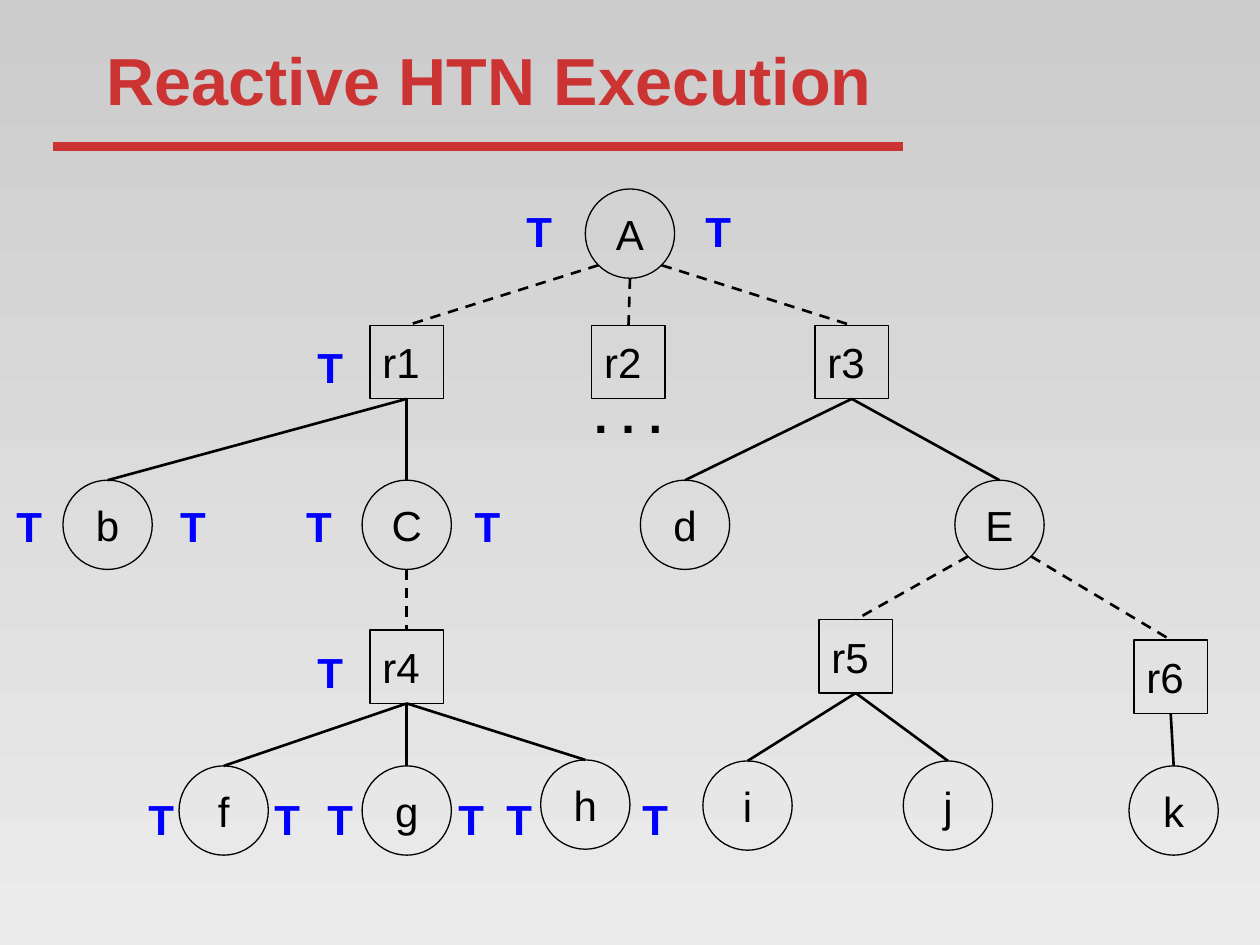
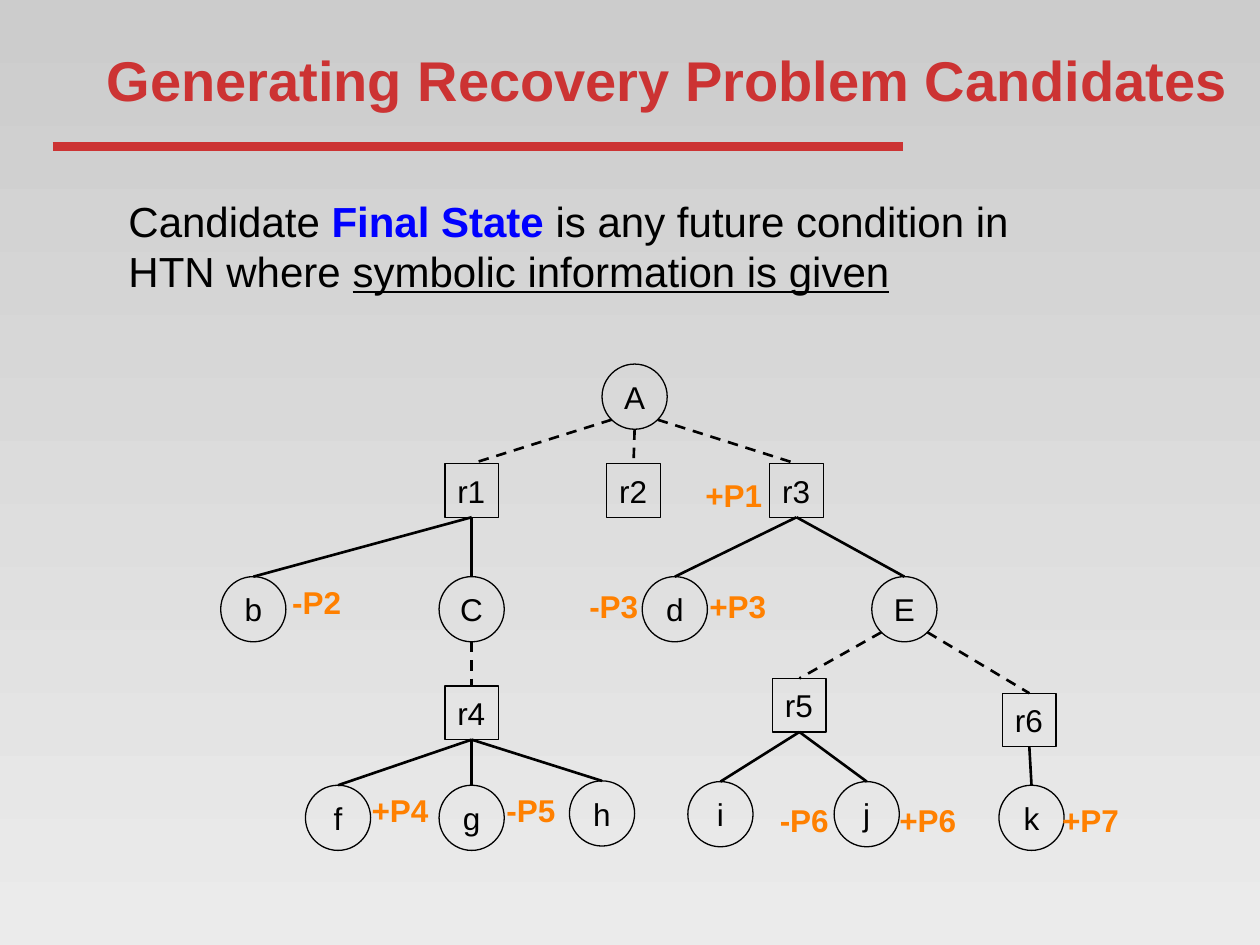
from pptx import Presentation
from pptx.dml.color import RGBColor
from pptx.enum.dml import MSO_LINE
from pptx.enum.shapes import MSO_CONNECTOR, MSO_SHAPE
from pptx.enum.text import MSO_ANCHOR, PP_ALIGN
from pptx.util import Cm, Pt
from lxml.etree import SubElement
from pptx.oxml.ns import qn

INK = {
    "red": "CC3333",
    "black": "000000",
    "blue": "0000FF",
    "orange": "FF8000",
    "top": "CCCCCC",
    "base": "EBEBEB",
}
FONT = "Arial"
CIRCLE, SQUARE = 1.8, 1.48

NODES = {
    "A": (11.43, 0.9),
    "r1": (6.93, 3.49), "r2": (11.4, 3.49), "r3": (15.9, 3.49),
    "b": (0.9, 6.77), "C": (6.93, 6.77), "d": (12.54, 6.77), "E": (18.88, 6.77),
    "r4": (6.93, 9.63), "r5": (15.98, 9.42), "r6": (22.33, 9.83),
    "f": (3.24, 12.53), "g": (6.93, 12.53), "h": (10.53, 12.41),
    "i": (13.8, 12.43), "j": (17.84, 12.43), "k": (22.39, 12.53),
}
KIDS = {
    "A": ["r1", "r2", "r3"],
    "r1": ["b", "C"],
    "r3": ["d", "E"],
    "C": ["r4"],
    "E": ["r5", "r6"],
    "r4": ["f", "g", "h"],
    "r5": ["i", "j"],
    "r6": ["k"],
}
TICKS = {
    0.2: [9.09, 12.7],
    2.95: [4.88],
    6.15: [-1.19, 2.11, 4.65, 8.05],
    9.09: [4.88],
    12.07: [1.47, 4.01, 5.08, 7.72, 8.69, 11.43],
}
STATES = [
    ("+P1", 9.52, 2.13), ("-P2", 1.19, 4.29),
    ("-P3", 7.18, 4.37), ("+P3", 9.6, 4.37),
    ("+P4", 2.79, 8.48), ("-P5", 5.51, 8.48),
    ("-P6", 11.02, 8.69), ("+P6", 13.43, 8.69), ("+P7", 16.71, 8.69),
]


def tint(name):
    return RGBColor.from_string(INK[name])


def add_run(para, text, size, ink="black", bold=False, under=False):
    run = para.add_run()
    run.text = text
    font = run.font
    font.name, font.size = FONT, Pt(size)
    font.bold, font.underline = bold, under
    font.color.rgb = tint(ink)


def add_text(slide, box, runs, anchor=MSO_ANCHOR.TOP):
    frame = slide.shapes.add_textbox(*map(Cm, box)).text_frame
    frame.word_wrap = True
    frame.vertical_anchor = anchor
    for run in runs:
        add_run(frame.paragraphs[0], *run)


def add_line(slide, start, end, ink="black", width=1.5, dash=False):
    line = slide.shapes.add_connector(
        MSO_CONNECTOR.STRAIGHT, *map(Cm, (*start, *end)))
    line.line.color.rgb = tint(ink)
    line.line.width = Pt(width)
    if dash:
        line.line.dash_style = MSO_LINE.DASH
    SubElement(line._element.spPr, qn("a:effectLst"))


def add_base(deck, title, size, width):
    slide = deck.slides.add_slide(deck.slide_layouts[6])
    fill = slide.background.fill
    fill.gradient()
    fill.gradient_angle = 270
    for stop, name, place in zip(fill.gradient_stops, ("top", "base"), (0, 1)):
        stop.color.rgb = tint(name)
        stop.position = place
    add_line(slide, (1.06, 2.96), (18.2, 2.96), "red", 5)
    add_text(slide, (1.9, 0.43, width, 2.34),
             [(title, size, "red", True)], MSO_ANCHOR.MIDDLE)
    return slide


def is_rule(name):
    return name.startswith("r")


def add_node(slide, name, x, y, side, size):
    kind = MSO_SHAPE.RECTANGLE if is_rule(name) else MSO_SHAPE.OVAL
    node = slide.shapes.add_shape(
        kind, *map(Cm, (x - side / 2, y - side / 2, side, side)))
    node.shadow.inherit = False
    node.fill.background()
    node.line.color.rgb = tint("black")
    node.line.width = Pt(0.75)
    frame = node.text_frame
    frame.word_wrap = False
    frame.vertical_anchor = MSO_ANCHOR.MIDDLE
    para = frame.paragraphs[0]
    para.alignment = PP_ALIGN.LEFT if is_rule(name) else PP_ALIGN.CENTER
    add_run(para, name, size)


def add_tree(slide, left, top, scale, size):
    spots = {name: (left + x * scale, top + y * scale)
             for name, (x, y) in NODES.items()}
    half = {name: (SQUARE if is_rule(name) else CIRCLE) * scale / 2
            for name in NODES}
    for name, (x, y) in spots.items():
        add_node(slide, name, x, y, 2 * half[name], size)
    for name, kids in KIDS.items():
        x, y = spots[name]
        for kid in kids:
            end, head = spots[kid]
            start = (x, y + half[name])
            gap = end - x
            if not is_rule(name) and abs(gap) > half[name]:
                reach = half[name] * 0.707
                start = (x + (reach if gap > 0 else -reach), y + reach)
            add_line(slide, start, (end, head - half[kid]),
                     dash=not is_rule(name))


def add_marks(slide, left, top, marks, size, ink):
    for text, x, y in marks:
        add_text(slide, (left + x, top + y, 1.68, 1.02),
                 [(text, size, ink, True)])


def add_run_slide(deck):
    slide = add_base(deck, "Reactive HTN Execution", 38, 21.6)
    left, top = 1.27, 3.81
    add_tree(slide, left, top, 1, 24)
    ticks = [("T", x, y) for y, row in TICKS.items() for x in row]
    add_marks(slide, left, top, ticks, 24, "blue")
    add_text(slide, (left + 10.46, top + 3.81, 1.91, 1.45),
             [(". . .", 28, "black", True)])


def add_plan_slide(deck):
    slide = add_base(deck, "Generating Recovery Problem Candidates", 32, 24.13)
    add_text(slide, (2.34, 3.81, 18.85, 2.31), [
        ("Candidate", 24),
        (" Final State ", 24, "blue", True),
        ("is any future condition in HTN where ", 24),
        ("symbolic information is given", 24, "black", False, True),
    ])
    left, top = 4.45, 7.34
    add_tree(slide, left, top, 0.73, 18)
    add_marks(slide, left, top, STATES, 18, "orange")


def main():
    deck = Presentation()
    deck.slide_width, deck.slide_height = Cm(25.4), Cm(19.05)
    add_run_slide(deck)
    add_plan_slide(deck)
    deck.save("out.pptx")


if __name__ == "__main__":
    main()
